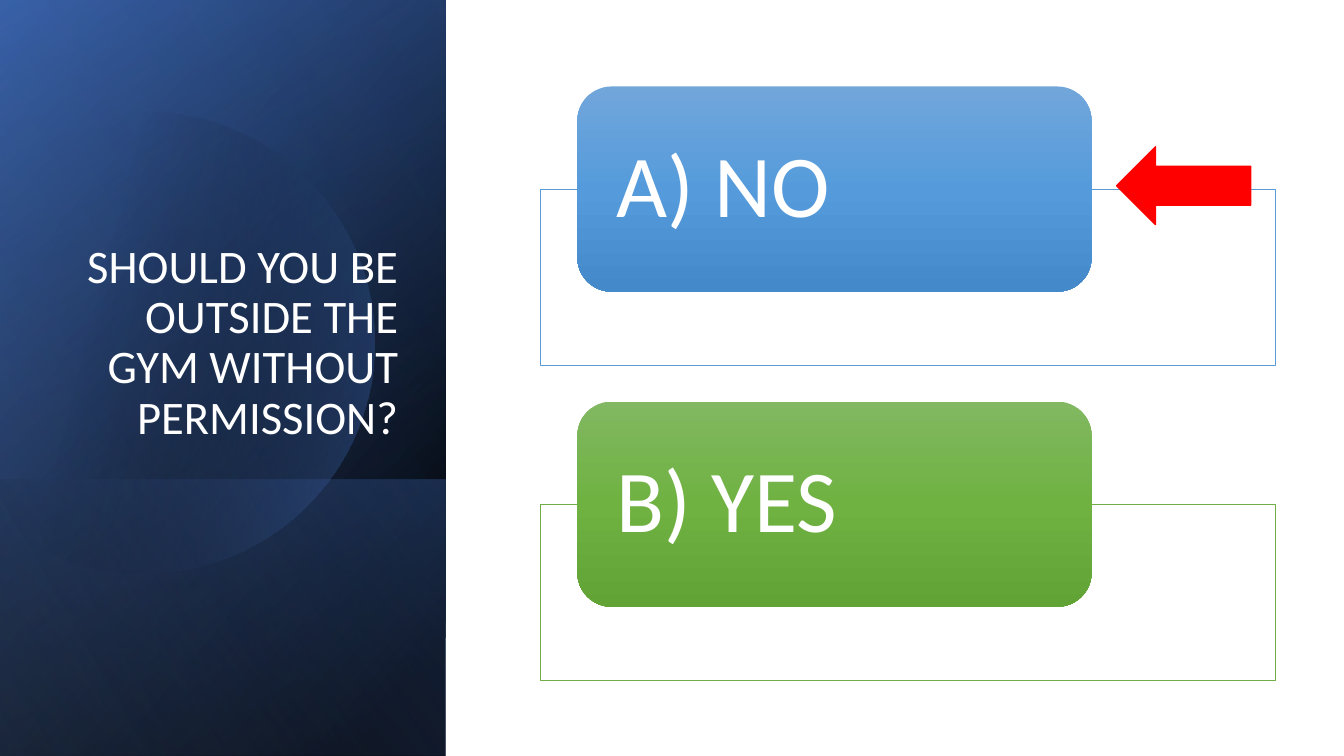
"""Build a quiz slide with a dark gradient title panel and two answer cards."""
import math

import pptx
import pptx.dml.color
import pptx.enum.shapes
import pptx.enum.text
import pptx.oxml
import pptx.oxml.ns
import pptx.util

Cm = pptx.util.Cm
RGBColor = pptx.dml.color.RGBColor
MSO_SHAPE = pptx.enum.shapes.MSO_SHAPE
MSO_ANCHOR = pptx.enum.text.MSO_ANCHOR

BLACK = RGBColor(0x00, 0x00, 0x00)
WHITE = RGBColor(0xFF, 0xFF, 0xFF)
RED = RGBColor(0xFF, 0x00, 0x00)
NAVY = RGBColor(0x2F, 0x55, 0x97)
BLUE = RGBColor(0x44, 0x72, 0xC4)
PALE_BLUE = RGBColor(0x8F, 0xAA, 0xDC)
SKY = RGBColor(0x5B, 0x9B, 0xD5)
GREEN = RGBColor(0x70, 0xAD, 0x47)
SKY_STOPS = [(0, RGBColor(0x71, 0xA6, 0xDB), 100), (50, RGBColor(0x55, 0x9B, 0xDB), 100),
             (100, RGBColor(0x44, 0x8A, 0xCA), 100)]
GREEN_STOPS = [(0, RGBColor(0x81, 0xB8, 0x61), 100), (50, RGBColor(0x6F, 0xB2, 0x42), 100),
               (100, RGBColor(0x62, 0xA3, 0x36), 100)]


def fill_gradient(shape, angle, stops):
    """Fill a shape with (position, colour, opacity) stops and no outline."""
    shape.shadow.inherit = False
    shape.line.fill.background()
    shape.fill.background()
    stop_xml = "".join(
        f'<a:gs pos="{position * 1000}"><a:srgbClr val="{colour}">'
        f'<a:alpha val="{opacity * 1000}"/></a:srgbClr></a:gs>'
        for position, colour, opacity in stops)
    gradient = pptx.oxml.parse_xml(
        f'<a:gradFill {pptx.oxml.ns.nsdecls("a")} rotWithShape="1"><a:gsLst>{stop_xml}</a:gsLst>'
        f'<a:lin ang="{angle * 60000}" scaled="0"/></a:gradFill>')
    properties = shape.element.spPr
    properties.replace(properties.find(pptx.oxml.ns.qn("a:noFill")), gradient)


def write_text(shape, text, size, alignment, anchor):
    """Put one white paragraph in a shape."""
    frame = shape.text_frame
    frame.word_wrap = True
    frame.vertical_anchor = anchor
    paragraph = frame.paragraphs[0]
    paragraph.text = text
    paragraph.alignment = alignment
    paragraph.line_spacing = 0.9
    paragraph.font.name = "Calibri"
    paragraph.font.size = pptx.util.Pt(size)
    paragraph.font.color.rgb = WHITE


presentation = pptx.Presentation()
presentation.slide_width = Cm(33.87)
presentation.slide_height = Cm(19.05)
slide = presentation.slides.add_slide(presentation.slide_layouts[6])
shapes = slide.shapes

PANEL_WIDTH = 11.23
panel_layers = [
    (19.05, 50, [(8, BLACK, 100), (100, NAVY, 100)]),
    (19.05, 30, [(0, BLACK, 0), (99, BLUE, 46)]),
    (6.96, 130, [(2, BLUE, 29), (100, BLACK, 30)]),
    (None, 14, [(29, BLACK, 0), (100, BLUE, 43)]),
    (19.05, 120, [(0, BLACK, 0), (99, PALE_BLUE, 11)]),
]
for height, angle, stops in panel_layers:
    if height is None:
        center_x, center_y, radius = 3.61, 8.64, 5.82
        disc_points = [
            (Cm(center_x + radius * math.cos(math.radians(degrees))),
             Cm(center_y + radius * math.sin(math.radians(degrees))))
            for degrees in range(-128, 118, 3)]
        disc_points.append((Cm(0), Cm(10.3)))
        builder = shapes.build_freeform(*disc_points[0])
        builder.add_line_segments(disc_points[1:], close=True)
        layer = builder.convert_to_shape()
    else:
        layer = shapes.add_shape(
            MSO_SHAPE.RECTANGLE, Cm((PANEL_WIDTH - height) / 2),
            Cm(19.05 - (height + PANEL_WIDTH) / 2), Cm(height), Cm(PANEL_WIDTH))
        layer.rotation = 90
        layer.element.spPr.xfrm.set("flipH", "1")
    fill_gradient(layer, angle, stops)

title = shapes.add_textbox(Cm(1.63), Cm(4.67), Cm(8.66), Cm(6.65))
write_text(title, "SHOULD YOU BE OUTSIDE THE GYM WITHOUT PERMISSION?", 33.3,
           pptx.enum.text.PP_ALIGN.RIGHT, MSO_ANCHOR.BOTTOM)

answers = [("A) NO", SKY, SKY_STOPS), ("B) YES", GREEN, GREEN_STOPS)]
for index, (answer, colour, stops) in enumerate(answers):
    top = 2.18 + index * 7.94
    frame_box = shapes.add_shape(MSO_SHAPE.RECTANGLE, Cm(13.61), Cm(top + 2.6), Cm(18.52), Cm(4.42))
    frame_box.shadow.inherit = False
    frame_box.fill.solid()
    frame_box.fill.fore_color.rgb = WHITE
    frame_box.line.color.rgb = colour
    frame_box.line.width = pptx.util.Pt(0.5)

    card = shapes.add_shape(MSO_SHAPE.ROUNDED_RECTANGLE, Cm(14.55), Cm(top), Cm(12.96), Cm(5.17))
    fill_gradient(card, 90, stops)
    write_text(card, answer, 63, pptx.enum.text.PP_ALIGN.LEFT, MSO_ANCHOR.MIDDLE)
    card.text_frame.margin_left = card.text_frame.margin_right = Cm(0.74)
    card.text_frame.margin_top = card.text_frame.margin_bottom = Cm(0)

arrow = shapes.add_shape(MSO_SHAPE.LEFT_ARROW, Cm(28.14), Cm(3.7), Cm(3.38), Cm(1.96))
arrow.shadow.inherit = False
arrow.fill.solid()
arrow.fill.fore_color.rgb = RED
arrow.line.color.rgb = RED
arrow.line.width = pptx.util.Pt(1)

presentation.save("out.pptx")
